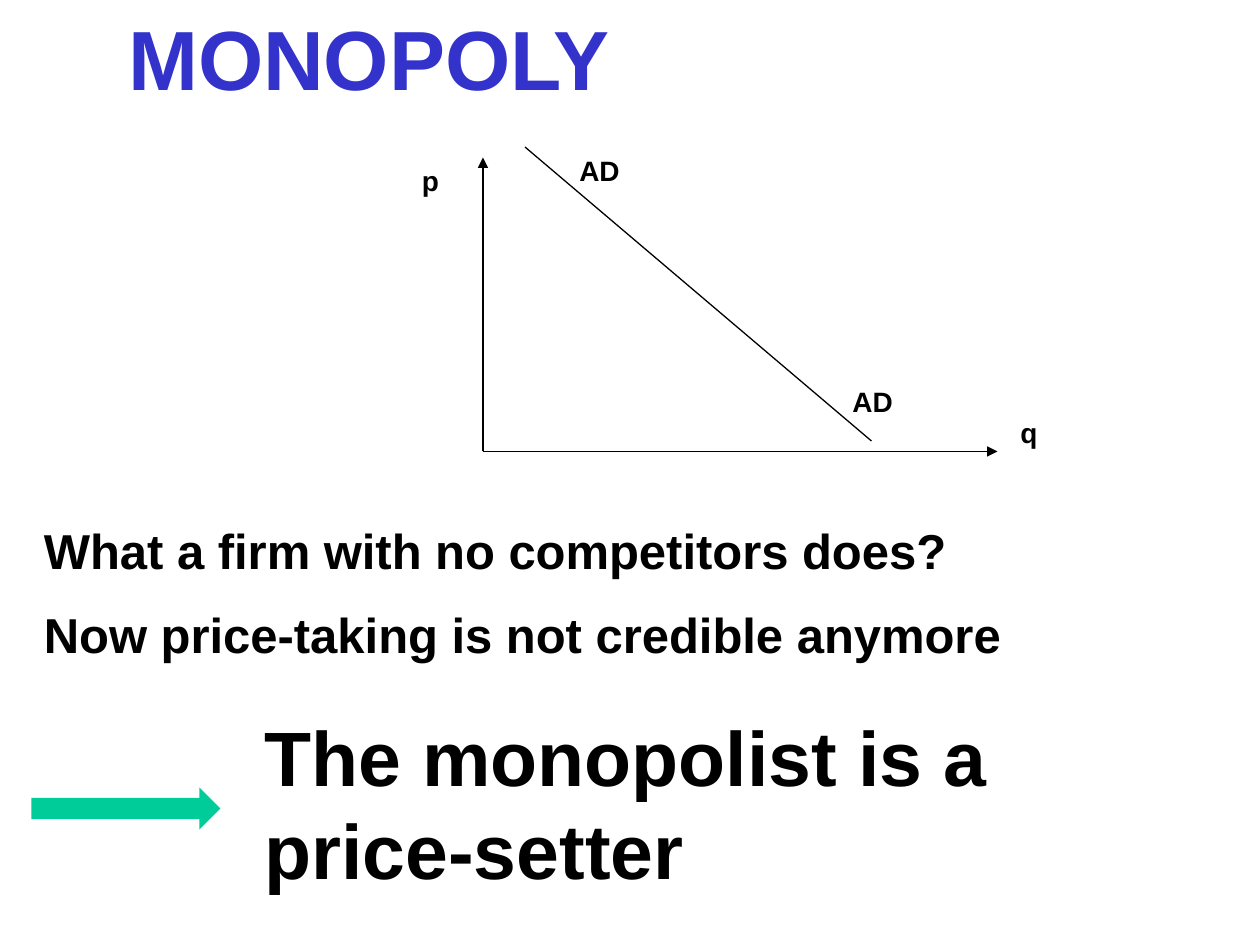
from pptx import Presentation
from pptx.dml.color import RGBColor as RGB
from pptx.enum.shapes import MSO_CONNECTOR as CONN, MSO_SHAPE as SHAPE
from pptx.enum.text import MSO_ANCHOR as ANCHOR, PP_ALIGN as ALIGN
from pptx.oxml.ns import qn
from pptx.util import Emu, Pt
from lxml.etree import SubElement as Sub

PX = 9525  # 96 px to the inch
COLORS = {"title": "3333CC", "ink": "000000", "arrow": "00CC99", "back": "FFFFFF"}


def px(*nums):
    return [Emu(n * PX) for n in nums]


def write(box, text, size, color="ink"):
    frame = box.text_frame
    frame.word_wrap = True
    frame.vertical_anchor = ANCHOR.TOP
    frame.text = text
    para = frame.paragraphs[0]
    para.alignment = ALIGN.LEFT
    para.line_spacing = 1.0
    para.space_before = Pt(0)
    font = para.font
    font.name, font.size, font.bold = "Arial", Pt(size), True
    font.color.rgb = RGB.from_string(COLORS[color])


prs = Presentation()
prs.slide_width, prs.slide_height = px(960, 720)
slide = prs.slides.add_slide(prs.slide_layouts[5])
slide.background.fill.solid()
slide.background.fill.fore_color.rgb = RGB.from_string(COLORS["back"])
shapes = slide.shapes

# Title
title = shapes.title
title.left, title.top, title.width, title.height = px(88, 0, 912, 87)
write(title, "MONOPOLY", 48, "title")

# Axes from the origin, then the demand line
lines = [
    (368, 344, 368, 120, True),
    (368, 344, 760, 344, True),
    (400, 112, 664, 336, False),
]
for *ends, tip in lines:
    line = shapes.add_connector(CONN.STRAIGHT, *px(*ends))
    line.line.width = Pt(0.75)
    line.line.color.rgb = RGB.from_string(COLORS["ink"])
    if tip:
        Sub(line.line._get_or_add_ln(), qn("a:tailEnd"), type="triangle")
    Sub(line._element.spPr, qn("a:effectLst"))

# Graph labels and statements
texts = [
    ("p", 16, 312, 120, 48, 48),
    ("q", 16, 768, 312, 48, 48),
    ("AD", 16, 432, 112, 56, 35),
    ("AD", 16, 640, 288, 64, 35),
    ("What a firm with no competitors does?", 28, 24, 392, 912, 55),
    ("Now price-taking is not credible anymore", 28, 24, 456, 904, 55),
    ("The monopolist is a price-setter", 44, 192, 536, 744, 152),
]
for text, size, *place in texts:
    write(shapes.add_textbox(*px(*place)), text, size)

# Arrow to the conclusion
arrow = shapes.add_shape(SHAPE.RIGHT_ARROW, *px(24, 600, 144, 32))
arrow.shadow.inherit = False
arrow.fill.solid()
arrow.fill.fore_color.rgb = RGB.from_string(COLORS["arrow"])
arrow.line.fill.background()

prs.save("out.pptx")
